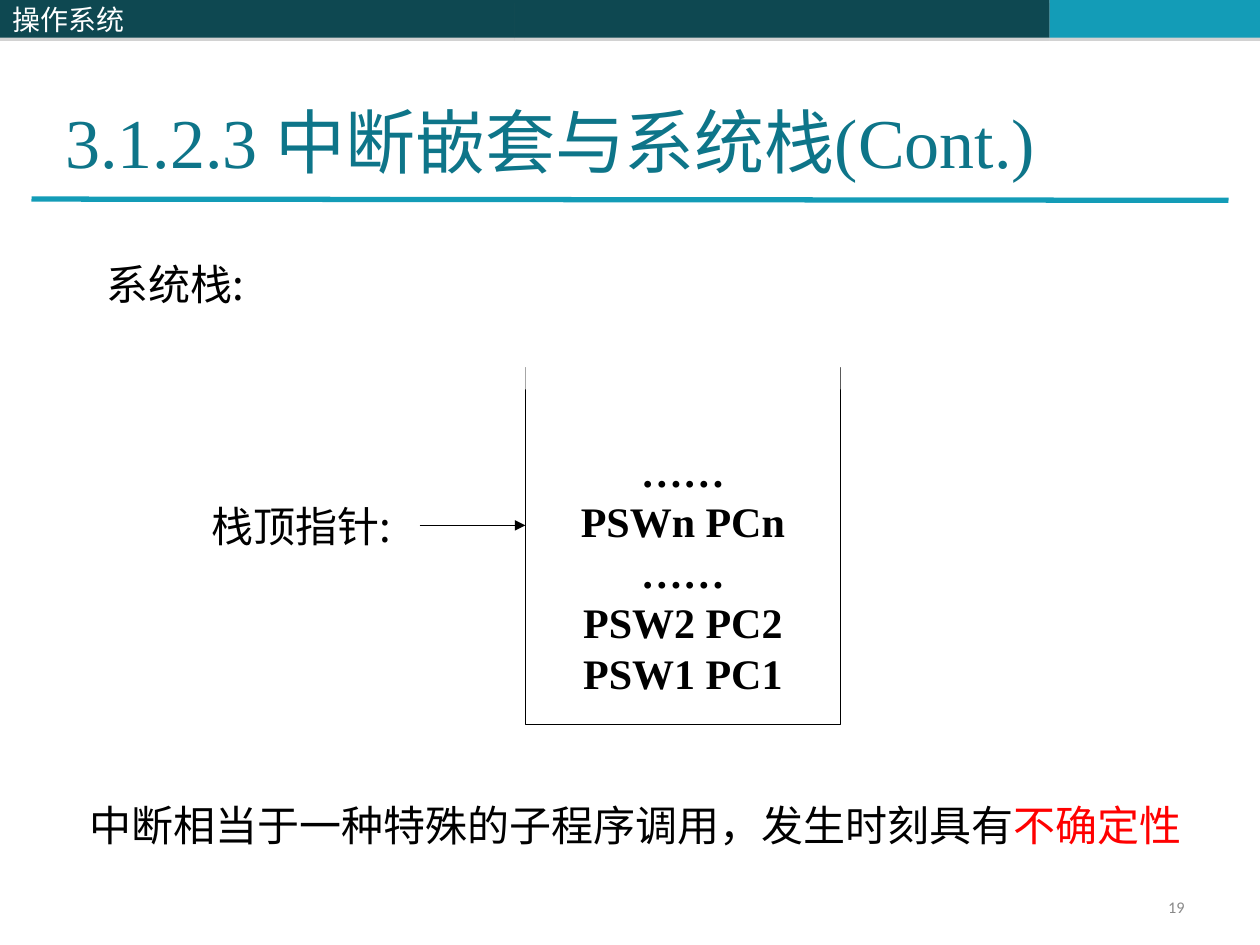
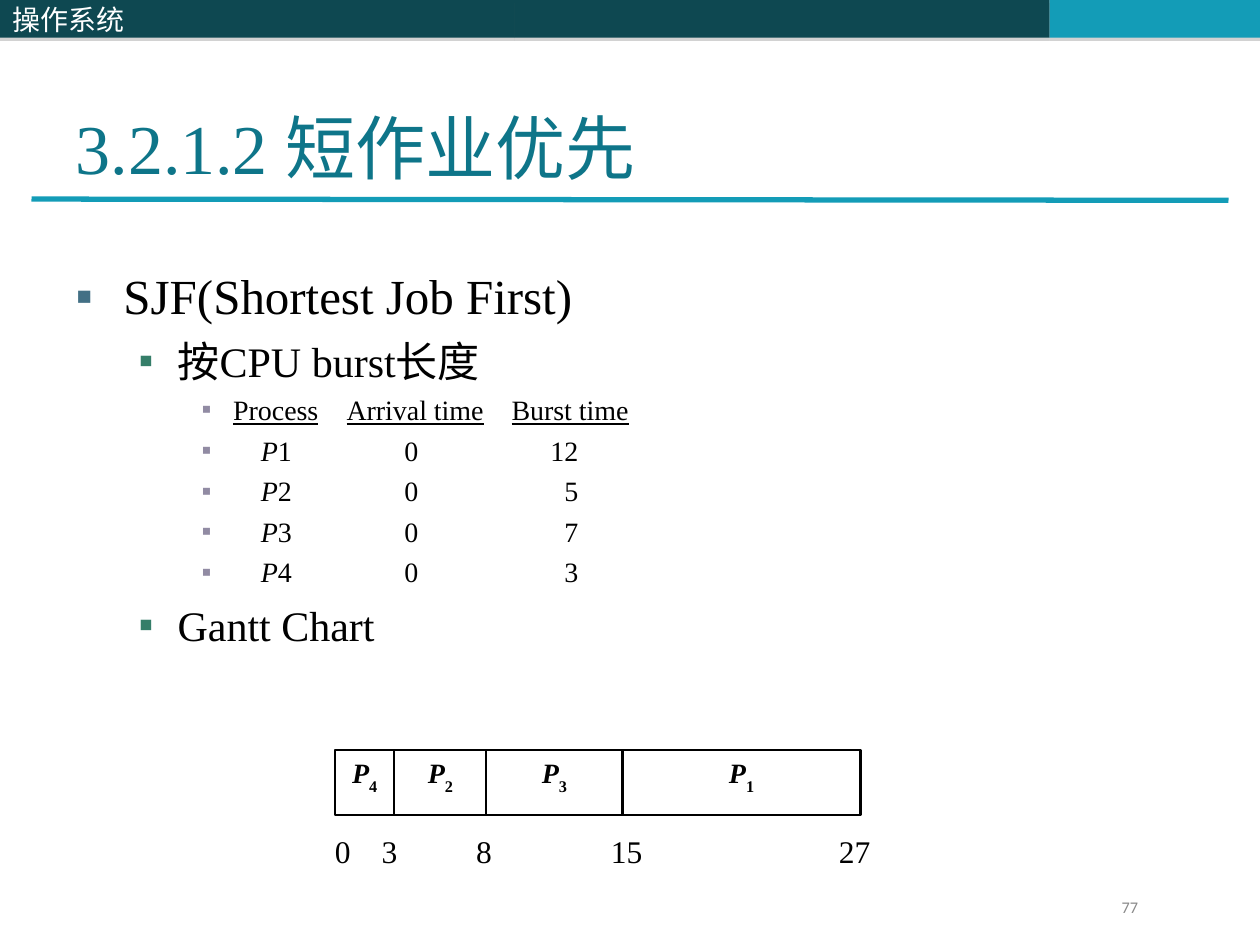
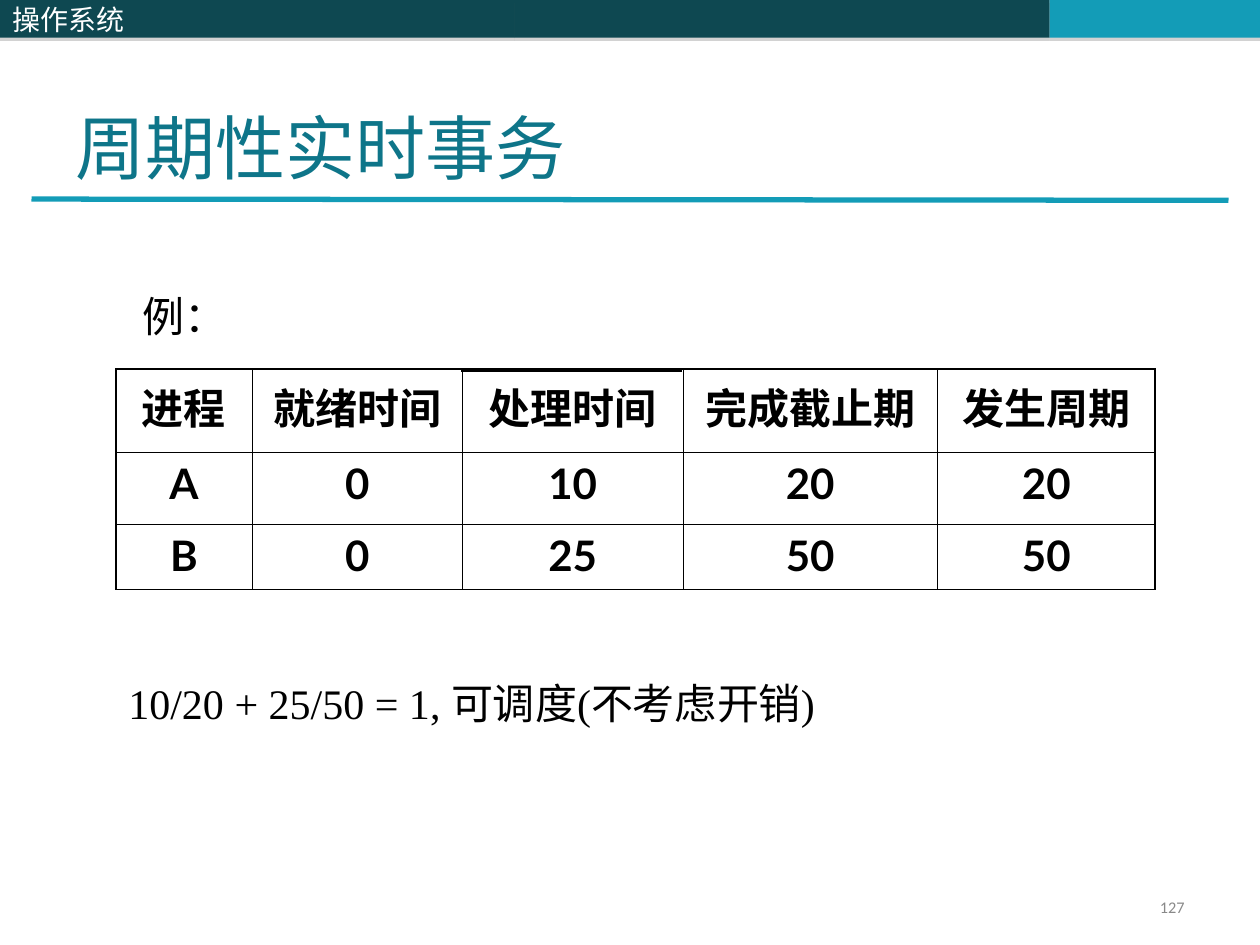
from lxml import etree
from pptx import Presentation
from pptx import util as u
from pptx.dml.color import RGBColor
from pptx.enum import shapes, text
from pptx.oxml import ns

DARK = RGBColor(0x0E, 0x48, 0x51)
TEAL = RGBColor(0x13, 0x9C, 0xB7)
HEAD = RGBColor(0x0E, 0x75, 0x89)
GREY = RGBColor(0x89, 0x89, 0x89)
SHADE = RGBColor(0x80, 0x80, 0x80)
BLACK = RGBColor(0, 0, 0)
WHITE = RGBColor(0xFF, 0xFF, 0xFF)
RED = RGBColor(0xFF, 0, 0)

SERIF = "Times New Roman"
HAN = "Noto Sans CJK SC"
LATO = "Lato"

LEFT, MID, RIGHT = text.PP_ALIGN.LEFT, text.PP_ALIGN.CENTER, text.PP_ALIGN.RIGHT
TOP, CENTER, BASE = (text.MSO_ANCHOR.TOP, text.MSO_ANCHOR.MIDDLE,
                     text.MSO_ANCHOR.BOTTOM)

LEVELS = [
    (0.38, 0.38, 7, 28, RGBColor(0x43, 0x70, 0x85)),
    (0.81, 0.31, 6, 24, RGBColor(0x35, 0x7E, 0x69)),
    (1.25, 0.25, 4, 16, RGBColor(0x91, 0x8B, 0xA3)),
]
NAMES = [(2.15, "l"), (3.46, "l")]
VALUES = [(1.47, "l"), (2.61, "l"), (3.99, "r")]


def sub(node, tag, **attrs):
    return etree.SubElement(node, ns.qn("a:" + tag),
                            {key: str(val) for key, val in attrs.items()})


def box(at):
    return [u.Inches(n) for n in at]


def style(run, size, font, color=BLACK, bold=False):
    run.font.size = u.Pt(size)
    run.font.name = font
    run.font.bold = bold
    run.font.color.rgb = color
    sub(run._r.get_or_add_rPr(), "ea", typeface=HAN)


def write(frame, lines, size, font, color=BLACK, bold=False, align=LEFT,
          anchor=TOP, wrap=True):
    frame.text = "\n".join(lines)
    frame.word_wrap = wrap
    frame.vertical_anchor = anchor
    for para in frame.paragraphs:
        para.alignment = align
        for run in para.runs:
            style(run, size, font, color, bold)
    return frame


def add_tabs(para, stops):
    tabs = sub(para._p.get_or_add_pPr(), "tabLst")
    for pos, algn in stops:
        sub(tabs, "tab", pos=u.Inches(pos), algn=algn)


def label(slide, at, line, size=24, font=HAN, **opts):
    frame = slide.shapes.add_textbox(*box(at)).text_frame
    return write(frame, [line], size, font, **opts)


def rect(slide, at, fill, line=None, width=0.75):
    shape = slide.shapes.add_shape(shapes.MSO_SHAPE.RECTANGLE, *box(at))
    shape.shadow.inherit = False
    shape.fill.solid()
    shape.fill.fore_color.rgb = fill
    if line is None:
        shape.line.fill.background()
    else:
        shape.line.color.rgb = line
        shape.line.width = u.Pt(width)
    return shape


def band(slide, left, width, fill):
    shape = rect(slide, (left, 0, width, 0.3), fill)
    effects = shape._element.spPr.find(ns.qn("a:effectLst"))
    shade = sub(effects, "outerShdw", blurRad=0, dist=u.Pt(1.8), dir=5400000,
                algn="ctr", rotWithShape=0)
    sub(sub(shade, "srgbClr", val=SHADE), "alpha", val=35000)
    return shape


def rule(slide, start, end, color, width, arrow=False):
    line = slide.shapes.add_connector(shapes.MSO_CONNECTOR.STRAIGHT,
                                      *box(start + end))
    line.line.color.rgb = color
    line.line.width = u.Pt(width)
    if arrow:
        sub(line.line._get_or_add_ln(), "tailEnd", type="triangle")
    sub(line._element.spPr, "effectLst")


def new_slide(deck, layout, title, at=(0.5, 0.3, 9, 1.25)):
    slide = deck.slides.add_slide(deck.slide_layouts[layout])
    band(slide, 4.08, 4.25, DARK)
    band(slide, 8.33, 1.67, TEAL)
    rule(slide, (0.25, 1.58), (9.75, 1.59), TEAL, 3)
    course = band(slide, 0, 4.08, DARK)
    write(course.text_frame, ["操作系统"], 16, HAN, WHITE, anchor=CENTER)
    head = slide.shapes.title
    head.left, head.top, head.width, head.height = box(at)
    write(head.text_frame, [title], 40, SERIF, HEAD, anchor=BASE)
    head.text_frame.auto_size = text.MSO_AUTO_SIZE.NONE
    return slide


def number(slide, page, left=7.17, width=2.33):
    frame = label(slide, (left, 7.08, width, 0.27), page, 9.3, "Calibri",
                  color=GREY, align=RIGHT, anchor=CENTER)
    frame.paragraphs[0].line_spacing = 0.8


def item(frame, level, parts, stops=()):
    first = not frame.paragraphs[0].runs
    para = frame.paragraphs[0] if first else frame.add_paragraph()
    para.level = level
    left, hang, gap, size, color = LEVELS[level]
    props = para._p.get_or_add_pPr()
    props.set("marL", str(u.Inches(left)))
    props.set("indent", str(-u.Inches(hang)))
    sub(sub(props, "buClr"), "srgbClr", val=color)
    sub(props, "buChar", char="▪")
    if stops:
        add_tabs(para, stops)
    para.space_before = u.Pt(0 if first else gap)
    for words, look in parts:
        run = para.add_run()
        run.text = words
        style(run, size, SERIF)
        run.font.underline = look == "u"
        run.font.italic = look == "i"


def job(slide, left, right, index):
    shape = rect(slide, (left, 5.95, right - left, 0.52), WHITE, BLACK, 1.25)
    frame = write(shape.text_frame, ["P"], 16, SERIF, bold=True, align=MID)
    para = frame.paragraphs[0]
    para.runs[0].font.italic = True
    low = para.add_run()
    low.text = index
    style(low, 16, SERIF, bold=True)
    low._r.get_or_add_rPr().set("baseline", "-30000")


def edge(cell, side, width):
    line = sub(cell._tc.get_or_add_tcPr(), "ln" + side, w=u.Pt(width))
    sub(sub(line, "solidFill"), "srgbClr", val=BLACK)


def grid(slide, at, rows, widths, heights):
    table = slide.shapes.add_table(len(rows), len(widths), *box(at)).table
    table.first_row = table.horz_banding = False
    for col, width in zip(table.columns, widths):
        col.width = u.Inches(width)
    for row, height in zip(table.rows, heights):
        row.height = u.Inches(height)
    for r, row in enumerate(rows):
        for c, words in enumerate(row):
            cell = table.cell(r, c)
            outer = {"L": c == 0, "R": c == len(row) - 1,
                     "T": r == 0, "B": r == len(rows) - 1}
            for side, out in outer.items():
                edge(cell, side, 1.08 if out else 0.45)
            cell.fill.background()
            write(cell.text_frame, [words], 24, LATO, bold=True, align=MID)


def stack(deck):
    slide = new_slide(deck, 5, "3.1.2.3 中断嵌套与系统栈(Cont.)",
                      (0.42, 0.25, 9.25, 1.25))
    number(slide, "19")
    frame = rect(slide, (4.17, 2.92, 2.5, 2.83), WHITE, BLACK).text_frame
    write(frame, ["……", "PSWn PCn", "……", "PSW2 PC2", "PSW1 PC1"], 24, SERIF,
          bold=True, align=MID, anchor=CENTER, wrap=False)
    frame.margin_top = u.Inches(0.45)
    rule(slide, (3.33, 4.17), (4.17, 4.17), BLACK, 0.75, arrow=True)
    label(slide, (1.58, 3.92, 1.58, 0.9), "栈顶指针:")
    label(slide, (0.75, 2, 1.58, 0.5), "系统栈:")
    rect(slide, (4.17, 2.67, 2.5, 0.42), WHITE)
    note = label(slide, (0.61, 6.3, 9.62, 0.5),
                 "中断相当于一种特殊的子程序调用，发生时刻具有")
    key = note.paragraphs[0].add_run()
    key.text = "不确定性"
    style(key, 24, HAN, RED)


def shortest(deck):
    slide = new_slide(deck, 1, "3.2.1.2 短作业优先")
    body = slide.placeholders[1]
    body.left, body.top, body.width, body.height = box((0.5, 2.06, 9, 5.42))
    frame = body.text_frame
    frame.auto_size = text.MSO_AUTO_SIZE.NONE
    item(frame, 0, [("SJF(Shortest Job First)", "")])
    item(frame, 1, [("按CPU burst长度", "")])
    item(frame, 2, [("Process", "u"), ("\t", ""), ("Arrival time", "u"),
                    ("\t", ""), ("Burst time", "u")], NAMES)
    for n, burst in enumerate([12, 5, 7, 3], 1):
        item(frame, 2, [("\tP", "i"), (f"{n}\t0\t{burst}", "")], VALUES)
    item(frame, 1, [("Gantt Chart", "")])

    axis = rect(slide, (2.56, 6.59, 4.49, 0.36), WHITE, WHITE).text_frame
    write(axis, ["0\t3\t8\t15\t27"], 18, SERIF)
    axis.margin_top = axis.margin_bottom = u.Inches(0.01)
    add_tabs(axis.paragraphs[0],
             [(pos, "l") for pos in (0.37, 1.12, 2.19, 4)])
    marks = [2.66, 3.13, 3.86, 4.94, 6.83]
    for left, right, index in zip(marks, marks[1:], "4231"):
        job(slide, left, right, index)
    number(slide, "77", 7.5, 1.63)


def periodic(deck):
    slide = new_slide(deck, 5, "周期性实时事务")
    number(slide, "127")
    rows = [["进程", "就绪时间", "处理时间", "完成截止期", "发生周期"],
            ["A", "0", "10", "20", "20"],
            ["B", "0", "25", "50", "50"]]
    grid(slide, (0.92, 2.93, 8.25, 1.75), rows,
         [1.08, 1.67, 1.75, 2.02, 1.73], [0.66, 0.57, 0.52])
    label(slide, (0.92, 5.33, 6.25, 0.5),
          "10/20 + 25/50 = 1, 可调度(不考虑开销)", font=SERIF)
    rule(slide, (3.66, 2.94), (5.41, 2.94), BLACK, 2.25)
    label(slide, (0.87, 2.26, 0.86, 0.5), "例：", font=LATO, align=MID,
          wrap=False)


def main():
    deck = Presentation()
    deck.slide_width, deck.slide_height = box((10, 7.5))
    stack(deck)
    shortest(deck)
    periodic(deck)
    deck.save("out.pptx")


if __name__ == "__main__":
    main()
